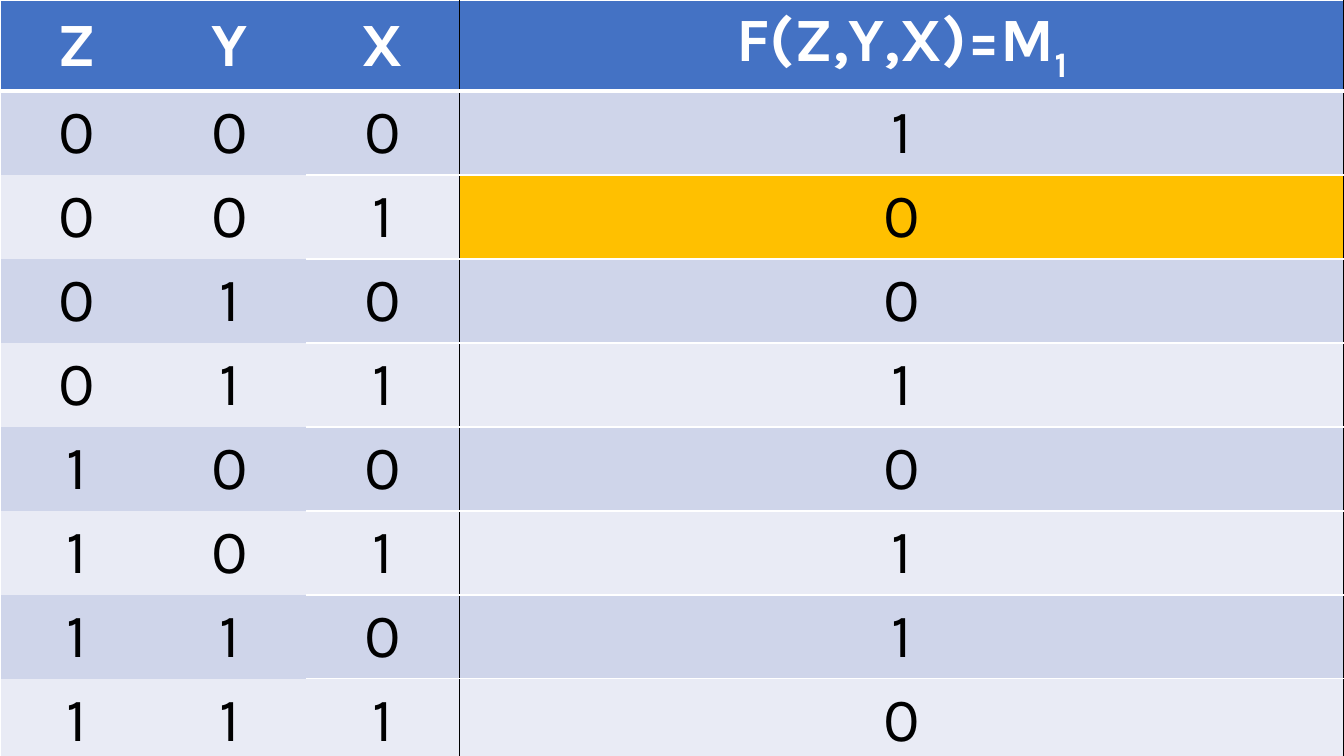
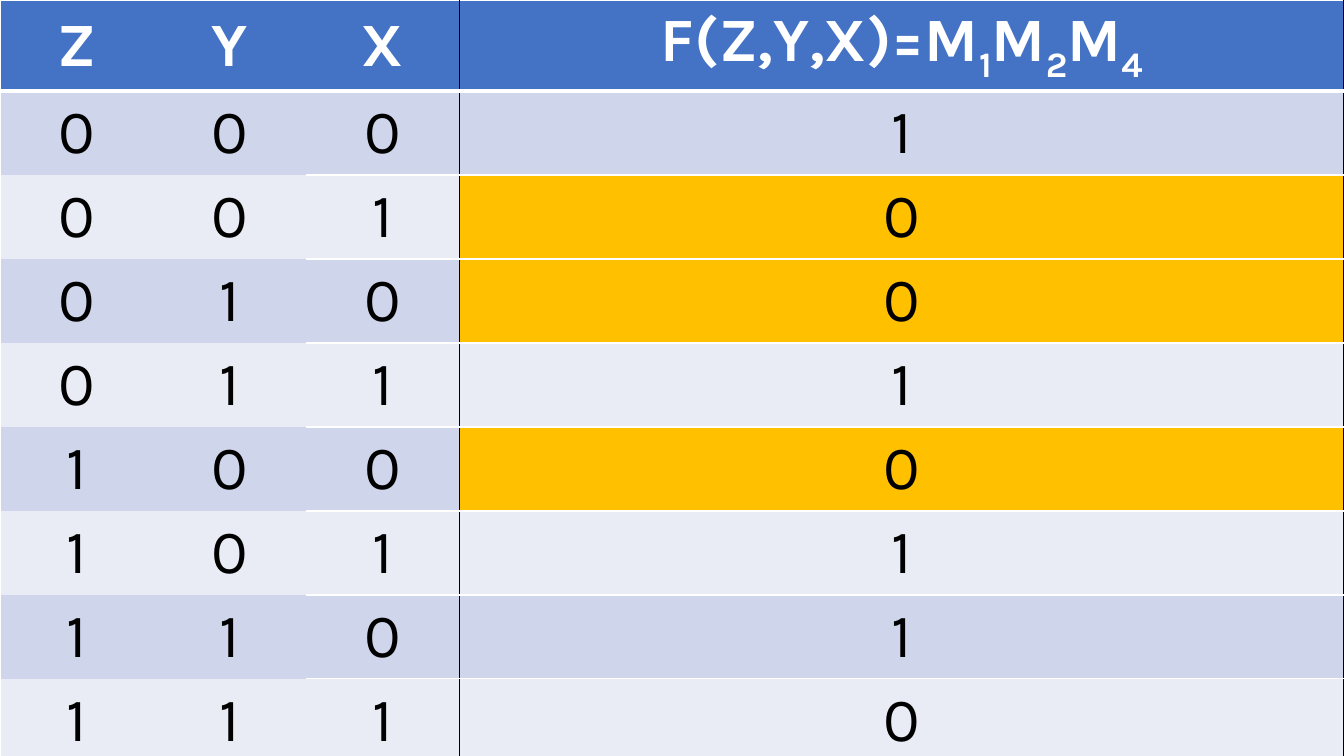
from itertools import product

from lxml.etree import SubElement
from pptx import Presentation
from pptx.dml.color import RGBColor
from pptx.enum.text import MSO_ANCHOR, PP_ALIGN
from pptx.oxml.ns import qn
from pptx.util import Inches, Pt

WHITE = RGBColor(0xFF, 0xFF, 0xFF)
BLACK = RGBColor(0x00, 0x00, 0x00)
HEADER_BLUE = RGBColor(0x44, 0x72, 0xC4)
BAND_DARK = RGBColor(0xCF, 0xD5, 0xEA)
BAND_LIGHT = RGBColor(0xE9, 0xEB, 0xF5)
HIGHLIGHT = RGBColor(0xFF, 0xC0, 0x00)

PAGE_WIDTH, PAGE_HEIGHT = Inches(13.33), Inches(7.5)
INPUT_WIDTH = Inches(1.52)
INPUTS = ["Z", "Y", "X"]
ROW_COUNT = 2 ** len(INPUTS) + 1


class TruthTableDeck:
    """Holds the style, the presentation and the current page."""

    font_name = "Karla"
    font_size = Pt(44)

    def __init__(self):
        self.deck = Presentation()
        self.deck.slide_width = PAGE_WIDTH
        self.deck.slide_height = PAGE_HEIGHT
        self.page = None

    def add_page(self):
        self.page = self.deck.slides.add_slide(self.deck.slide_layouts[6])

    def add_truth_table(self, maxterms):
        """Draw the function table and highlight the rows of its maxterms."""
        output_column = len(INPUTS)
        table = self.page.shapes.add_table(
            ROW_COUNT, output_column + 1, 0, 0, PAGE_WIDTH, PAGE_HEIGHT
        ).table
        for column in range(output_column):
            table.columns[column].width = INPUT_WIDTH
        table.columns[output_column].width = PAGE_WIDTH - output_column * INPUT_WIDTH
        for row in table.rows:
            row.height = PAGE_HEIGHT // ROW_COUNT

        # Header row
        headings = [[(name, False)] for name in INPUTS] + [self.product_spans(maxterms)]
        for column, spans in enumerate(headings):
            self.fill_cell(table, 0, column, spans, HEADER_BLUE, WHITE, bold=True)

        # Body rows: the output is 1 when the number of ones is even
        for index, bits in enumerate(product((0, 1), repeat=output_column)):
            band = BAND_LIGHT if index % 2 else BAND_DARK
            for column, value in enumerate((*bits, 1 - sum(bits) % 2)):
                marked = column == output_column and index in maxterms
                self.fill_cell(table, index + 1, column, [(str(value), False)],
                               HIGHLIGHT if marked else band, BLACK)

    def product_spans(self, maxterms):
        """Return (text, is_subscript) pairs for the function heading."""
        spans = []
        for number in maxterms:
            lead = "M" if spans else f"F({','.join(INPUTS)})=M"
            spans += [(lead, False), (str(number), True)]
        return spans

    def fill_cell(self, table, row, column, spans, fill, color, bold=False):
        cell = table.cell(row, column)
        cell.vertical_anchor = MSO_ANCHOR.MIDDLE
        cell.fill.solid()
        cell.fill.fore_color.rgb = fill
        para = cell.text_frame.paragraphs[0]
        para.alignment = PP_ALIGN.CENTER
        for text, is_subscript in spans:
            span = para.add_run()
            span.text = text
            span.font.name = self.font_name
            span.font.size = self.font_size
            span.font.bold = bold
            span.font.color.rgb = color
            if is_subscript:
                span._r.get_or_add_rPr().set("baseline", "-25000")
        self.set_borders(cell, row, column)

    def set_borders(self, cell, row, column):
        properties = cell._tc.get_or_add_tcPr()
        edges = [
            ("a:lnL", self.vertical_edge(column)),
            ("a:lnR", self.vertical_edge(column + 1)),
            ("a:lnT", self.horizontal_edge(row, column)),
            ("a:lnB", self.horizontal_edge(row + 1, column)),
        ]
        # Border lines come before the fill in the cell properties
        for position, (tag, (color, points)) in enumerate(edges):
            line = SubElement(properties, qn(tag), w=str(Pt(points)))
            properties.insert(position, line)
            if color is None:
                SubElement(line, qn("a:noFill"))
            else:
                solid = SubElement(line, qn("a:solidFill"))
                SubElement(solid, qn("a:srgbClr"), val=str(color))

    def vertical_edge(self, index):
        """Black lines frame the output; the inputs run together."""
        if index == 0:
            return WHITE, 1
        return (BLACK, 1) if index >= len(INPUTS) else (None, 0)

    def horizontal_edge(self, index, column):
        """White lines; the two leftmost columns have none between body rows."""
        if index == 1:
            return WHITE, 3
        is_outer = index in (0, ROW_COUNT)
        return (WHITE, 1) if is_outer or column >= 2 else (None, 0)


def main():
    tables = TruthTableDeck()
    for maxterms in ([1], [1, 2, 4]):
        tables.add_page()
        tables.add_truth_table(maxterms)
    tables.deck.save("out.pptx")


if __name__ == "__main__":
    main()
